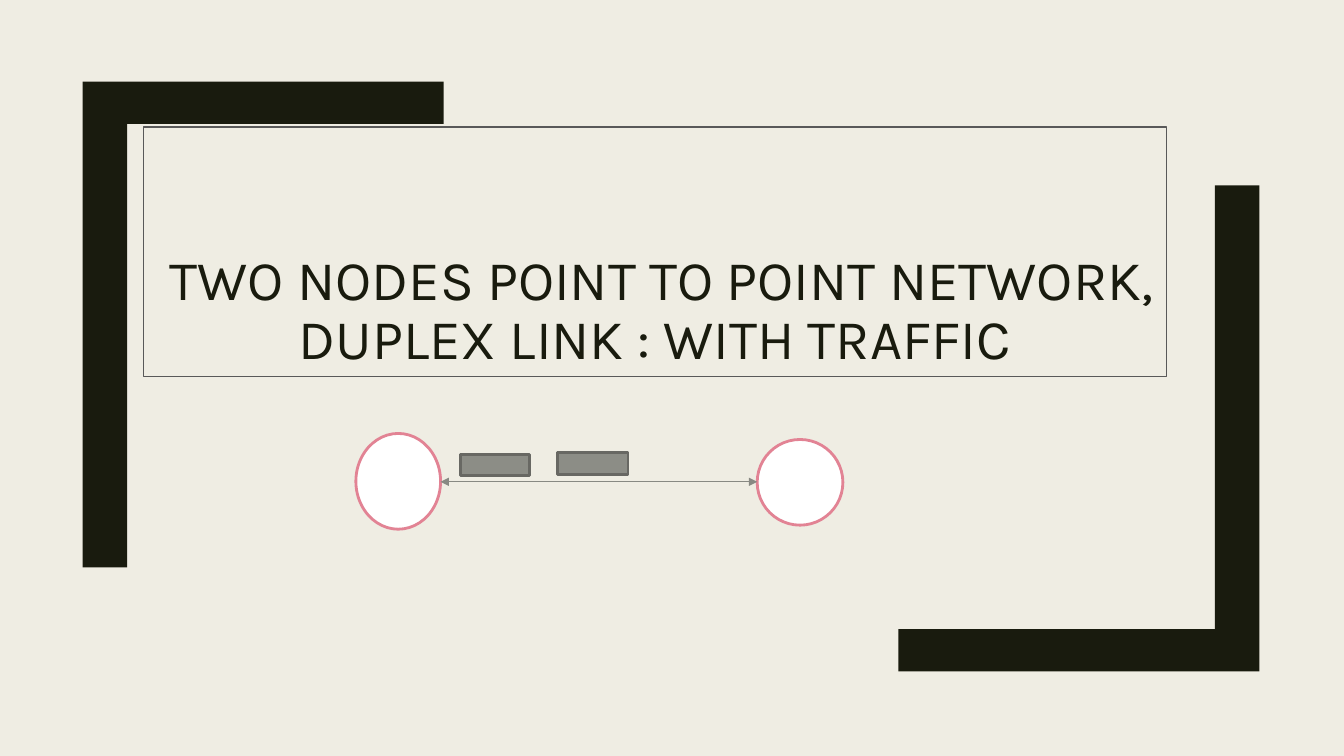
from lxml import etree
from pptx import Presentation
from pptx.dml.color import RGBColor
from pptx.enum import shapes, text
from pptx.oxml.ns import qn
from pptx.util import Inches, Pt

# Content: places are left, top, width, height in inches
TITLE = " TWO NODES POINT TO POINT NETWORK, DUPLEX LINK : WITH TRAFFIC"
TITLE_PLACE = (1.42, 1.26, 10.15, 2.48)
NODES = [(3.53, 4.3, 0.84, 0.95), (7.51, 4.36, 0.85, 0.85)]
PACKETS = [(4.57, 4.51, 0.68, 0.21), (5.53, 4.49, 0.7, 0.22)]
LINK_HEIGHT = 4.78

# Corner brackets: outer corner, then the direction of the arms
CORNERS = [((0.82, 0.81), 1), ((12.49, 6.66), -1)]
ARM_WIDTH, ARM_HEIGHT = 3.58, 4.82
UPRIGHT, BAR = 0.44, 0.42

PAPER, INK = "EFEDE3", "191B0E"


def color(value):
    return RGBColor.from_string(value)


def paint(shape, fill=None, line=None, width=0):
    if fill:
        shape.fill.solid()
        shape.fill.fore_color.rgb = color(fill)
    if line:
        shape.line.color.rgb = color(line)
        shape.line.width = Pt(width)
    else:
        shape.line.fill.background()


def add_figure(page, kind, place, fill, line):
    figure = page.shapes.add_shape(kind, *map(Inches, place))
    figure.shadow.inherit = False
    paint(figure, fill, line, 2)


def add_bracket(page, corner, direction):
    outline = [(0, 0), (ARM_WIDTH, 0), (ARM_WIDTH, BAR), (UPRIGHT, BAR),
               (UPRIGHT, ARM_HEIGHT), (0, ARM_HEIGHT)]
    points = [(Inches(corner[0] + direction * x), Inches(corner[1] + direction * y))
              for x, y in outline]
    builder = page.shapes.build_freeform(*points[0])
    builder.add_line_segments(points[1:], close=True)
    bracket = builder.convert_to_shape()
    bracket.shadow.inherit = False
    paint(bracket, INK)


def add_link(page, start, end, height):
    link = page.shapes.add_connector(
        shapes.MSO_CONNECTOR.STRAIGHT,
        Inches(start), Inches(height), Inches(end), Inches(height))
    paint(link, line="888983", width=0.75)
    # Arrowheads at both ends, no shadow
    for tag in ("a:headEnd", "a:tailEnd"):
        etree.SubElement(link.line._get_or_add_ln(), qn(tag), type="triangle")
    etree.SubElement(link._element.spPr, qn("a:effectLst"))


def add_title(page):
    title = page.shapes.title
    title.left, title.top, title.width, title.height = map(Inches, TITLE_PLACE)
    paint(title, line="595959", width=0.75)
    frame = title.text_frame
    frame.text = TITLE
    frame.word_wrap = True
    frame.auto_size = text.MSO_AUTO_SIZE.NONE
    frame.vertical_anchor = text.MSO_ANCHOR.BOTTOM
    para = frame.paragraphs[0]
    para.alignment = text.PP_ALIGN.CENTER
    para.line_spacing = 0.89
    font = para.runs[0].font
    font.name, font.size = "Karla", Pt(40)
    font.color.rgb = color(INK)


def main():
    deck = Presentation()
    deck.slide_width, deck.slide_height = Inches(13.33), Inches(7.5)
    page = deck.slides.add_slide(deck.slide_layouts[5])
    page.background.fill.solid()
    page.background.fill.fore_color.rgb = color(PAPER)

    # Frame and title
    for corner, direction in CORNERS:
        add_bracket(page, corner, direction)
    add_title(page)

    # Network: two nodes, the link between them, packets above it
    for place in NODES:
        add_figure(page, shapes.MSO_SHAPE.OVAL, place, "FFFFFF", "E28394")
    first, second = NODES
    add_link(page, first[0] + first[2], second[0], LINK_HEIGHT)
    for place in PACKETS:
        add_figure(page, shapes.MSO_SHAPE.RECTANGLE, place, "8C8D86", "686863")

    deck.save("out.pptx")


if __name__ == "__main__":
    main()
